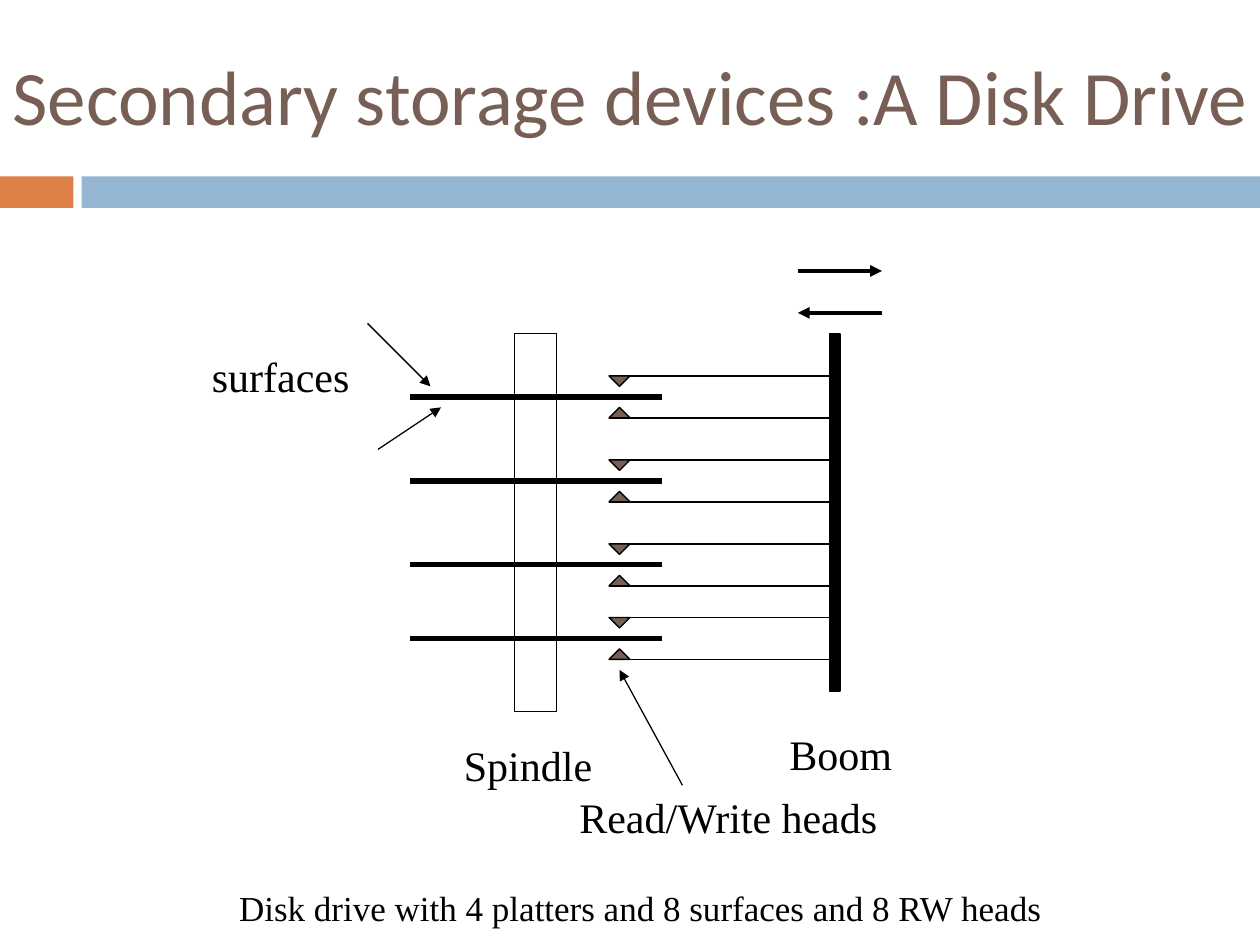
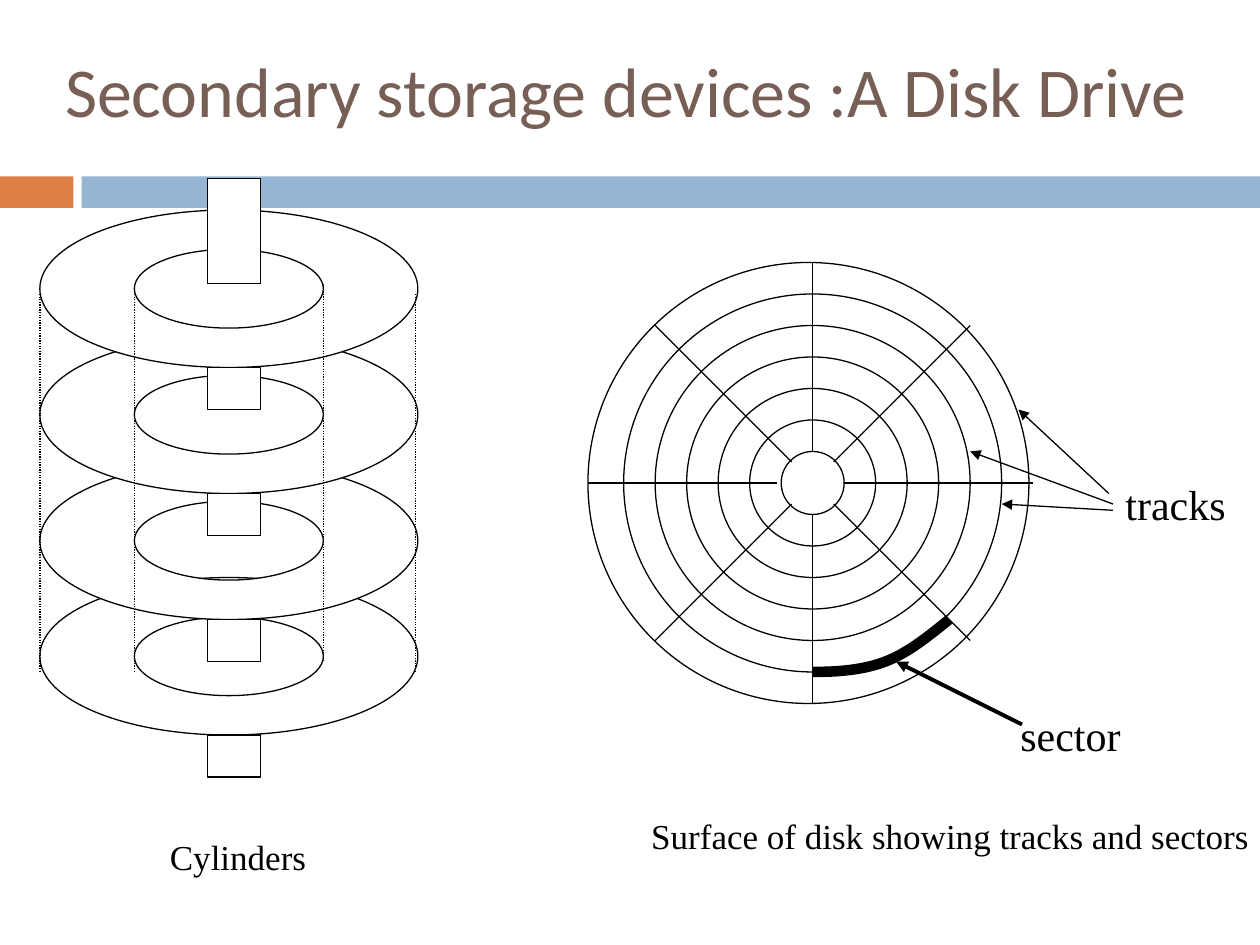
"""Build two slides that explain how a disk drive is laid out."""
from dataclasses import dataclass
from typing import Optional

import lxml.etree
import pptx
import pptx.dml.color
import pptx.enum.dml
import pptx.enum.shapes
import pptx.enum.text
import pptx.oxml.ns
import pptx.presentation
import pptx.shapes.autoshape
import pptx.slide
import pptx.util

Pt = pptx.util.Pt
qn = pptx.oxml.ns.qn
Shape = pptx.shapes.autoshape.Shape
Slide = pptx.slide.Slide
Colour = pptx.dml.color.RGBColor
Preset = pptx.enum.shapes.MSO_SHAPE
Align = pptx.enum.text.PP_ALIGN
Point = tuple[float, float]

ORANGE = Colour(0xDD, 0x80, 0x47)
BLUE = Colour(0x94, 0xB6, 0xD2)
BROWN = Colour(0x77, 0x5F, 0x55)
BLACK = Colour(0, 0, 0)
WHITE = Colour(0xFF, 0xFF, 0xFF)
TITLE_FONT = "Calibri"
LABEL_FONT = "Times New Roman"
TITLE = "Secondary storage devices :A Disk Drive"
THIN = 0.75


@dataclass(frozen=True)
class Box:
    """A rectangle on the slide, in points."""

    left: float
    top: float
    width: float
    height: float

    def lengths(self) -> list[int]:
        """Return the four values as slide lengths."""
        return [Pt(value) for value in (self.left, self.top, self.width, self.height)]


@dataclass(frozen=True)
class Line:
    """A straight line in points, with its weight and ending."""

    x1: float
    y1: float
    x2: float
    y2: float
    weight: float = THIN
    arrow: bool = False
    dotted: bool = False


@dataclass(frozen=True)
class Label:
    """A piece of text and how it is set in its box."""

    text: str
    box: Box
    size: float = 24
    align: Align = Align.LEFT
    wrap: bool = True


def write(frame, text: str, *, font: str, size: float, colour: Colour,
          align: Align = Align.LEFT, wrap: bool = True) -> None:
    """Put one formatted paragraph in a text frame."""
    frame.word_wrap = wrap
    frame.auto_size = pptx.enum.text.MSO_AUTO_SIZE.NONE
    paragraph = frame.paragraphs[0]
    paragraph.alignment = align
    run = paragraph.add_run()
    run.text = text
    run.font.name = font
    run.font.size = Pt(size)
    run.font.color.rgb = colour


def paint(shape: Shape, fill: Optional[Colour], line: Optional[Colour],
          weight: float = THIN) -> None:
    """Set fill and outline, leaving out whichever is None."""
    shape.shadow.inherit = False
    if fill is None:
        shape.fill.background()
    else:
        shape.fill.solid()
        shape.fill.fore_color.rgb = fill
    if line is None:
        shape.line.fill.background()
    else:
        shape.line.color.rgb = line
        shape.line.width = Pt(weight)


def draw_shape(slide: Slide, preset: Preset, box: Box, fill: Optional[Colour] = None,
               line: Optional[Colour] = BLACK) -> Shape:
    """Add a painted preset shape."""
    shape = slide.shapes.add_shape(preset, *box.lengths())
    paint(shape, fill, line)
    return shape


def draw_line(slide: Slide, line: Line) -> None:
    """Add a black straight connector."""
    connector = slide.shapes.add_connector(
        pptx.enum.shapes.MSO_CONNECTOR.STRAIGHT,
        Pt(line.x1), Pt(line.y1), Pt(line.x2), Pt(line.y2))
    connector.line.color.rgb = BLACK
    connector.line.width = Pt(line.weight)
    if line.dotted:
        connector.line.dash_style = pptx.enum.dml.MSO_LINE.ROUND_DOT
    properties = connector.element.spPr
    if line.arrow:
        lxml.etree.SubElement(properties.find(qn("a:ln")), qn("a:tailEnd"), type="triangle")
    lxml.etree.SubElement(properties, qn("a:effectLst"))


def draw_label(slide: Slide, label: Label) -> None:
    """Add a text box for a label."""
    frame = slide.shapes.add_textbox(*label.box.lengths()).text_frame
    write(frame, label.text, font=LABEL_FONT, size=label.size, colour=BLACK,
          align=label.align, wrap=label.wrap)


def draw_curves(slide: Slide, contours: list[list[Point]], closed: bool,
                fill: Optional[Colour], weight: float = THIN) -> None:
    """Add a freeform whose contours are a start and three points per cubic curve."""
    scaled = [[(Pt(x), Pt(y)) for x, y in contour] for contour in contours]
    builder = slide.shapes.build_freeform(*scaled[0][0])
    for index, contour in enumerate(scaled):
        if index:
            builder.move_to(*contour[0])
        builder.add_line_segments(contour[1:], close=closed)
    outline = builder.convert_to_shape()
    segments = list(outline.element.iter(qn("a:lnTo")))
    for first, second, third in zip(segments[::3], segments[1::3], segments[2::3]):
        curve = lxml.etree.Element(qn("a:cubicBezTo"))
        first.addprevious(curve)
        for segment in (first, second, third):
            curve.append(segment[0])
            segment.getparent().remove(segment)
    paint(outline, fill, BLACK, weight)


def ellipse(x: float, y: float, rx: float, ry: float) -> list[Point]:
    """Return the curve points of an ellipse; a negative ry turns it the other way."""
    bend = 0.5523
    unit = [(1, 0), (1, bend), (bend, 1), (0, 1), (-bend, 1), (-1, bend), (-1, 0),
            (-1, -bend), (-bend, -1), (0, -1), (bend, -1), (1, -bend), (1, 0)]
    return [(x + rx * dx, y + ry * dy) for dx, dy in unit]


def start_slide(deck: pptx.presentation.Presentation, title_box: Box, title_size: float) -> Slide:
    """Add a title-only slide with the shared title style."""
    slide = deck.slides.add_slide(deck.slide_layouts[5])
    title = slide.shapes.title
    title.left, title.top, title.width, title.height = title_box.lengths()
    title.text_frame.vertical_anchor = pptx.enum.text.MSO_ANCHOR.MIDDLE
    write(title.text_frame, TITLE, font=TITLE_FONT, size=title_size, colour=BROWN)
    return slide


def move_bands_to_layout(slide: Slide) -> None:
    """Draw the two bands under the title on the layout that all slides share."""
    for box, colour in ((Box(0, 100.8, 42, 18), ORANGE), (Box(46.6, 100.8, 673.4, 18), BLUE)):
        band = draw_shape(slide, Preset.RECTANGLE, box, colour, None)
        slide.slide_layout.shapes.element.append(band.element)


def draw_side_view(slide: Slide) -> None:
    """Draw the drive from the side, with platters, heads and boom."""
    head_x, boom_x = 348, 474
    draw_shape(slide, Preset.RECTANGLE, Box(294, 190.8, 24, 216))
    draw_shape(slide, Preset.RECTANGLE, Box(boom_x, 190.8, 6, 204), BLACK)
    for platter_y in (226.8, 274.8, 322.8, 364.8):
        draw_line(slide, Line(234, platter_y, 378, platter_y, 3))
        for arm_offset, head_offset, rotation in ((-12, -12, 180), (12, 6, 0)):
            arm_y = platter_y + arm_offset
            draw_line(slide, Line(head_x, arm_y, boom_x, arm_y))
            head = draw_shape(slide, Preset.ISOSCELES_TRIANGLE,
                              Box(head_x, platter_y + head_offset, 12, 6), BROWN)
            head.rotation = rotation
    for pointer in (
        Line(210, 184.8, 246, 220.8, arrow=True),
        Line(216, 256.8, 252, 232.8, arrow=True),
        Line(390, 448.8, 354, 382.8, arrow=True),
        Line(456, 154.8, 504, 154.8, 2.25, arrow=True),
        Line(504, 178.8, 456, 178.8, 2.25, arrow=True),
    ):
        draw_line(slide, pointer)
    for label in (
        Label("surfaces", Box(114, 196.8, 114, 36)),
        Label("Spindle", Box(258, 418.8, 96, 36)),
        Label("Boom", Box(444, 412.8, 84, 36)),
        Label("Read/Write heads", Box(324, 448.8, 192, 36)),
        Label("Disk drive with 4 platters and 8 surfaces and 8 RW heads",
              Box(66, 502.8, 600, 31.5), 20, Align.CENTER),
    ):
        draw_label(slide, label)


def draw_surface(slide: Slide) -> None:
    """Draw one disk surface with its tracks and sectors."""
    hub_x, edge_x, hub_y, step = 464.4, 462, 276, 18
    rings = [(hub_x, step * number) for number in range(1, 7)] + [(edge_x, step * 7)]
    for x, radius in rings:
        draw_shape(slide, Preset.OVAL, Box(x - radius, hub_y - radius, 2 * radius, 2 * radius))
    for dx in (-1, 0, 1):
        for dy in (-1, 0, 1):
            if dx == dy == 0:
                continue
            near, far = (12, 90) if dx and dy else (step, step * 7)
            x = edge_x if (dx, dy) == (-1, 0) else hub_x
            draw_line(slide, Line(x + dx * near, hub_y + dy * near, x + dx * far, hub_y + dy * far))
    sector = [(464.4, 384), (478.8, 384), (493.2, 383), (506.2, 378),
              (519.1, 373), (530.6, 363.6), (542.4, 354)]
    draw_curves(slide, [sector], False, None, 6)
    for pointer in (
        Line(584, 414, 512, 378, 2.25, arrow=True),
        Line(633.6, 282, 582, 234, arrow=True),
        Line(636, 291.6, 572.4, 288, arrow=True),
        Line(636, 288, 554.4, 258, arrow=True),
    ):
        draw_line(slide, pointer)
    for label in (
        Label("sector", Box(576, 402, 108, 36)),
        Label("tracks", Box(636, 270, 84, 36)),
        Label("Surface of disk showing tracks and sectors",
              Box(336, 462, 414, 31.5), 20, Align.CENTER),
    ):
        draw_label(slide, label)


def draw_cylinders(slide: Slide) -> None:
    """Draw the stack of platters, the axle and the cylinder walls."""
    left, width, height = 22.8, 216, 90
    centre = left + width / 2
    platter_tops = (120, 192, 264, 330)
    for top in reversed(platter_tops):
        middle = top + height / 2
        draw_curves(slide, [ellipse(centre, middle, width / 2, height / 2),
                            ellipse(centre, middle, width / 4, -height / 4)], True, WHITE)
    axle_parts = [(102, 60)] + [(top + height, 24) for top in platter_tops]
    for top, length in axle_parts:
        draw_shape(slide, Preset.RECTANGLE, Box(118.8, top, 30, length), WHITE)
    for x, top in ((184.8, 162), (76.8, 168), (237.6, 168), (left, 168)):
        draw_line(slide, Line(x, top, x, top + 216, dotted=True))
    draw_label(slide, Label("Cylinders", Box(90, 474, 92, 31.5), 20, wrap=False))


def main() -> None:
    """Build and save the deck."""
    deck = pptx.Presentation()
    deck.slide_width, deck.slide_height = Pt(720), Pt(540)
    side_view = start_slide(deck, Box(0, 0, 744, 108), 44)
    move_bands_to_layout(side_view)
    draw_side_view(side_view)
    top_view = start_slide(deck, Box(30, 18, 660, 66), 40)
    draw_surface(top_view)
    draw_cylinders(top_view)
    deck.save("out.pptx")


if __name__ == "__main__":
    main()
